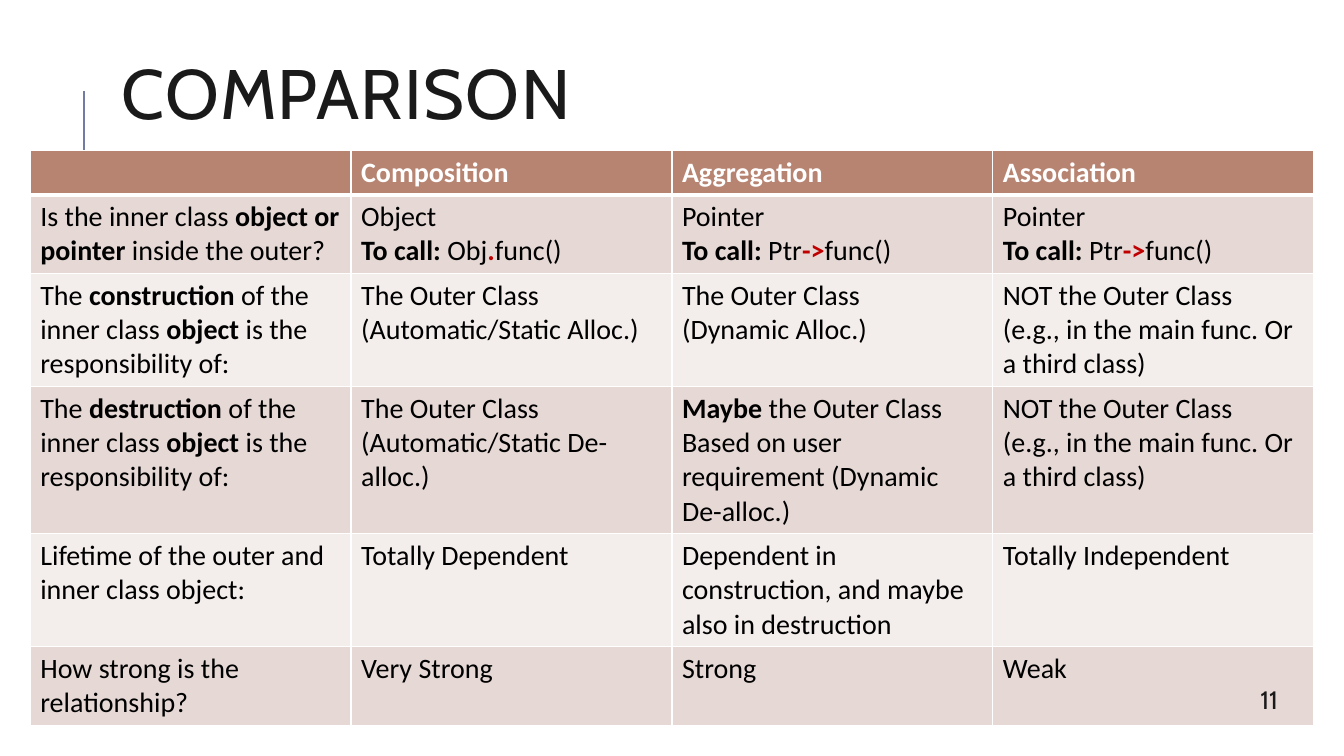
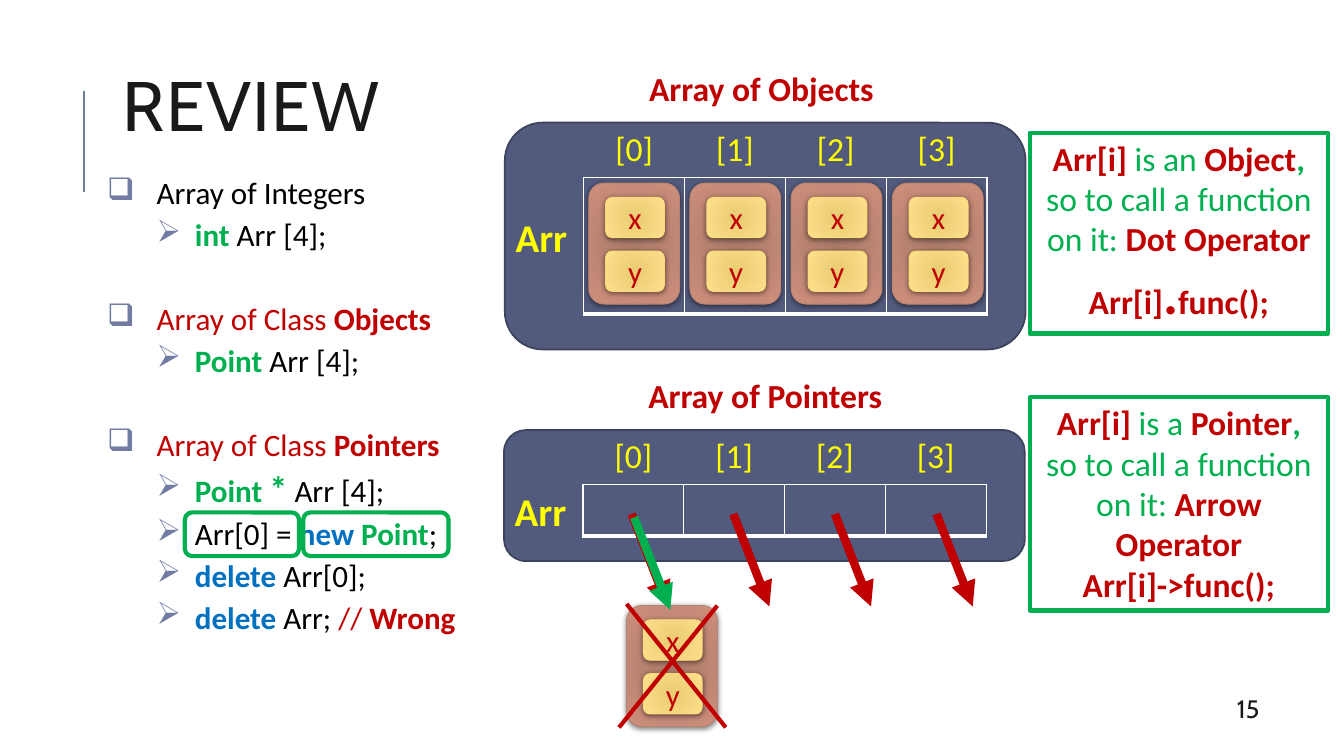
from lxml.etree import SubElement
from pptx import Presentation
from pptx.dml.color import RGBColor
from pptx.enum.shapes import MSO_CONNECTOR, MSO_SHAPE
from pptx.enum.text import MSO_ANCHOR, MSO_AUTO_SIZE, PP_ALIGN
from pptx.oxml.ns import qn
from pptx.util import Inches, Pt

HUES = {
    "white": "FFFFFF", "black": "000000", "ink": "1A1A1A", "rule": "727CA3",
    "head": "B88472", "dark": "E6D9D5", "pale": "F3EDEB", "red": "C00000",
    "green": "00B050", "blue": "0070C0", "yellow": "FFFF00",
    "panel": "525A7D", "edge": "3D435C", "clay": "AB7B6A", "rose": "CE8F7C",
    "gold": "E9CB72", "sand": "FFE08B", "rim": "FADA7A",
}
COLS, ROWS = 160, 90

HEADS = ["", "Composition", "Aggregation", "Association"]
TO_CALL = ("To call: ", "black", True)
ARROW = [["Pointer"], [TO_CALL, "Ptr", ("->", "red", True), "func()"]]
THIRD = [["NOT the Outer Class"], ["(e.g., in the main func. Or a third class)"]]


def duty(word):
    """Return the question about who is responsible for a step."""
    return [["The ", (word, "black", True), " of the inner class ",
             ("object", "black", True), " is the responsibility of:"]]


FACTS = [
    [[["Is the inner class ", ("object or pointer", "black", True), " inside the outer?"]],
     [["Object"], [TO_CALL, "Obj", (".", "red", True), "func()"]], ARROW, ARROW],
    [duty("construction"),
     [["The Outer Class"], ["(Automatic/Static Alloc.)"]],
     [["The Outer Class"], ["(Dynamic Alloc.)"]], THIRD],
    [duty("destruction"),
     [["The Outer Class"], ["(Automatic/Static De-alloc.)"]],
     [[("Maybe", "black", True), " the Outer Class"],
      ["Based on user requirement (Dynamic De-alloc.)"]], THIRD],
    [[["Lifetime of the outer and inner class object:"]], [["Totally Dependent"]],
     [["Dependent in construction, and maybe also in destruction"]],
     [["Totally Independent"]]],
    [[["How strong is the relationship?"]], [["Very Strong"]], [["Strong"]], [["Weak"]]],
]
POINTS = [
    (1, ["Array of Integers"]),
    (2, [("int", "green", True), " Arr [4];"]),
    (1, [("Array of Class ", "red"), ("Objects", "red", True)]),
    (2, [("Point ", "green", True), "Arr [4];"]),
    (1, [("Array of Class ", "red"), ("Pointers", "red", True)]),
    (2, [("Point ", "green", True), ("*", "green", True, 25.9), " Arr [4];"]),
    (2, ["Arr[0] = ", ("new ", "blue", True), ("Point", "green", True), ";"]),
    (2, [("delete", "blue", True), " Arr[0];"]),
    (2, [("delete", "blue", True), " Arr;", (" // ", "red"), ("Wrong", "red", True)]),
]


def unit(num):
    """Turn grid units into a length."""
    return Inches(num / 12)


def box(*nums):
    """Turn several grid numbers into lengths."""
    return [unit(num) for num in nums]


def tint(hue):
    """Return a named colour."""
    return RGBColor.from_string(HUES[hue])


def paint(part, hue):
    """Fill a shape or cell with one colour."""
    part.fill.solid()
    part.fill.fore_color.rgb = tint(hue)


def sub(node, tag, **keys):
    """Append a drawing element to a node."""
    return SubElement(node, qn("a:" + tag), {key: str(val) for key, val in keys.items()})


def style(run, size, hue, bold=False, font="Calibri"):
    """Format one run."""
    run.font.size, run.font.bold, run.font.name = Pt(size), bold, font
    run.font.color.rgb = tint(hue)


def write(par, runs, size, hue="black", bold=False):
    """Write runs, each plain text or text with hue, weight and size."""
    for item in runs:
        if item == "\n":
            par.add_line_break()
            continue
        text, *look = (item,) if isinstance(item, str) else item
        tone, heavy, high = look + [hue, bold, size][len(look):]
        run = par.add_run()
        run.text = text
        style(run, high, tone, heavy)


def label(slide, spot, text, size, hue, bold=False, font="Calibri"):
    """Add one line of text that does not wrap."""
    frame = slide.shapes.add_textbox(*box(*spot)).text_frame
    frame.word_wrap = False
    frame.text = text
    style(frame.paragraphs[0].runs[0], size, hue, bold, font)
    return frame


def stroke(slide, ends, hue, width, head=False):
    """Draw a line, with an arrowhead if asked."""
    line = slide.shapes.add_connector(MSO_CONNECTOR.STRAIGHT, *box(*ends))
    line.line.color.rgb, line.line.width = tint(hue), Pt(width)
    if head:
        sub(line.line._get_or_add_ln(), "tailEnd", type="triangle")
    sub(line._element.spPr, "effectLst")


def round_box(slide, spot, fill, edge, width):
    """Add a rounded box, hollow if it has no fill."""
    shape = slide.shapes.add_shape(MSO_SHAPE.ROUNDED_RECTANGLE, *box(*spot))
    shape.shadow.inherit = False
    shape.line.color.rgb, shape.line.width = tint(edge), Pt(width)
    if fill:
        paint(shape, fill)
    else:
        shape.fill.background()
    return shape


def glow(slide, spot, inner, outer, edge):
    """Add a rounded box with a radial blend and a soft shadow."""
    shape = round_box(slide, spot, None, edge, 0.75)
    props = shape._element.spPr
    blend = sub(props, "gradFill", rotWithShape=1)
    stops = sub(blend, "gsLst")
    for pos, hue in ((0, inner), (100000, outer)):
        sub(sub(stops, "gs", pos=pos), "srgbClr", val=HUES[hue])
    sub(sub(blend, "path", path="circle"), "fillToRect",
        l=100000, t=100000, r=100000, b=100000)
    props.replace(props.find(qn("a:noFill")), blend)
    cast = sub(props.find(qn("a:effectLst")), "outerShdw", blurRad=Pt(4),
               dist=Pt(1), dir=5400000, algn="ctr", rotWithShape=0)
    sub(sub(cast, "srgbClr", val=HUES["black"]), "alpha", val=50000)
    return shape


def grid(slide, left, top, width, rows):
    """Add a bare table of four equal columns."""
    frame = slide.shapes.add_table(len(rows), 4, *box(left, top, 4 * width, sum(rows)))
    table = frame.table
    table.first_row = table.horz_banding = False
    for row, high in zip(table.rows, rows):
        row.height = unit(high)
    for col in table.columns:
        col.width = unit(width)
    return table


def trim(cell, row, col, hue, foot):
    """Give a cell white borders and a fill."""
    sides = [("lnL", 1, col == 0), ("lnR", 1, True), ("lnT", 1, row == 0), ("lnB", foot, True)]
    for tag, width, shown in sides:
        if shown:
            line = sub(cell._tc.get_or_add_tcPr(), tag, w=Pt(width))
            sub(sub(line, "solidFill"), "srgbClr", val=HUES["white"])
    paint(cell, hue)


def base(deck, title, left, top):
    """Start a slide with its rule and title."""
    slide = deck.slides.add_slide(deck.slide_layouts[5])
    stroke(slide, (10, 22.8, 10, 10.8), "rule", 1.5)
    head = slide.shapes.title
    head.left, head.top, head.width, head.height = box(left, top, 139.3, 10.2)
    frame = head.text_frame
    frame.text = title
    frame.auto_size, frame.vertical_anchor = MSO_AUTO_SIZE.NONE, MSO_ANCHOR.MIDDLE
    par = frame.paragraphs[0]
    par.alignment, par.line_spacing = PP_ALIGN.LEFT, 0.8
    style(par.runs[0], 50, "ink", font="Cabin")
    par.runs[0].font._element.set("spc", "100")
    return slide


def folio(slide, num, left, top):
    """Add the page number."""
    frame = label(slide, (left, top, 17.8, 6.7), num, 18, "ink", font="Cabin")
    frame.word_wrap, frame.vertical_anchor = True, MSO_ANCHOR.MIDDLE
    frame.paragraphs[0].alignment = PP_ALIGN.CENTER


def matrix(slide, left, top):
    """Add the table that compares the three relations."""
    table = grid(slide, left, top, 38.2, [5.3, 8.6, 12.2, 16, 12.2, 8.6])
    lines = [[[[text]] if text else [] for text in HEADS]] + FACTS
    for row, cells in enumerate(lines):
        hue = "head" if row == 0 else ("pale", "dark")[row % 2]
        for col, pars in enumerate(cells):
            cell = table.cell(row, col)
            trim(cell, row, col, hue, 1 if row else 3)
            for num, runs in enumerate(pars):
                frame = cell.text_frame
                par = frame.add_paragraph() if num else frame.paragraphs[0]
                write(par, runs, 20, "black" if row else "white", row == 0)


def outline(slide, spot):
    """Add the bulleted list of array kinds."""
    frame = slide.shapes.add_textbox(*box(*spot)).text_frame
    frame.word_wrap = True
    frame.margin_left = frame.margin_right = frame.margin_top = frame.margin_bottom = Inches(0.05)
    for num, (level, runs) in enumerate(POINTS):
        par = frame.add_paragraph() if num else frame.paragraphs[0]
        par.line_spacing, par.space_after = 0.9, Pt(3.9)
        par.space_before = Pt(32 if num and level == 1 else 2)
        mark, left, hang = (("❑", 0.62, 0.49), ("➢", 1, 0.38))[level - 1]
        props = par._p.get_or_add_pPr()
        props.set("marL", str(Inches(left)))
        props.set("indent", str(-Inches(hang)))
        sub(sub(props, "buClr"), "srgbClr", val=HUES["rule"])
        sub(props, "buChar", char=mark)
        write(par, runs, 22.2)


def point(slide, left, top):
    """Draw one object with its x and y fields."""
    glow(slide, (left, top, 10.8, 14.4), "clay", "rose", "head")
    for num, name in enumerate("xy"):
        field = glow(slide, (left + 2, top + 1.7 + 6.4 * num, 7, 4.8), "gold", "sand", "rim")
        frame = field.text_frame
        frame.text = name
        frame.vertical_anchor = MSO_ANCHOR.MIDDLE
        frame.paragraphs[0].alignment = PP_ALIGN.CENTER
        style(frame.paragraphs[0].runs[0], 22, "red")


def array(slide, left, top, high, name, wide, slot, drop):
    """Draw an array panel with heading, name, slots and indices."""
    round_box(slide, (left, top, 62, high), "panel", "edge", 1.25)
    label(slide, (left + 16, top - 7.1, wide, 6), name, 24, "red", True)
    label(slide, (left + 0.1, top + drop, 8.8, 6.8), "Arr", 28, "yellow", True)
    table = grid(slide, left + 9.4, top + 6.5, 12, [slot])
    for num in range(4):
        trim(table.cell(0, num), 0, num, "panel", 3)
        spot = (left + 9.4 + 12 * num, top, 12, 6)
        frame = label(slide, spot, f"[{num}]", 24, "yellow")
        frame.paragraphs[0].alignment = PP_ALIGN.CENTER


def note(slide, spot, article, kind, means, call):
    """Add a framed note on how to call a function."""
    shape = slide.shapes.add_textbox(*box(*spot))
    shape.line.color.rgb, shape.line.width = tint("green"), Pt(3)
    frame = shape.text_frame
    frame.word_wrap = True
    rule = [("Arr[i] ", "red", True), f"is {article} ", (kind, "red", True),
            (",", "green", True), "\n", "so to call a function on it: ", (means, "red", True)]
    for par, runs in ((frame.paragraphs[0], rule), (frame.add_paragraph(), call)):
        par.alignment = PP_ALIGN.CENTER
        write(par, runs, 24, "green")


def compare(deck):
    """Build the comparison slide."""
    slide = base(deck, "COMPARISON", 13.3, 6.7)
    matrix(slide, 3.6, 17.9)
    folio(slide, "11", 142.2, 79.9)


def review(deck):
    """Build the review slide."""
    slide = base(deck, "REVIEW", 13.4, 8.2)
    outline(slide, (10.6, 20.6, 142, 57.5))
    folio(slide, "15", 139.7, 81)
    array(slide, 60.1, 14.6, 27, "Array of Objects", 30.5, 16.3, 10.2)
    for num in range(4):
        point(slide, 70.1 + 12.05 * num, 21.8)
    note(slide, (122.6, 15.8, 35.5, 23.9), "an", "Object", "Dot Operator",
         [("Arr[i]", "red", True), (".", "red", True, 40), ("func();", "red", True)])
    array(slide, 60, 51.2, 15.6, "Array of Pointers", 31.2, 6.1, 6.2)
    for num in range(4):
        left = 75.2 + 12.1 * num
        stroke(slide, (left, 61.2, left + 4.3, 72.2), "red", 6, True)
    point(slide, 74.6, 72.1)
    note(slide, (122.6, 47.3, 35.5, 25.4), "a", "Pointer", "Arrow Operator",
         [("Arr[i]->func();", "red", True)])
    for ends in ((85.4, 72.1, 73.7, 86.6), (74.6, 71.9, 86.4, 86.6)):
        stroke(slide, ends, "red", 3)
    for left, wide in ((36.1, 17.3), (22, 13.6)):
        round_box(slide, (left, 61, wide, 5.2), None, "green", 3)
    stroke(slide, (75.5, 61.6, 79.8, 72.6), "green", 6, True)


def main():
    """Build and save the deck."""
    deck = Presentation()
    deck.slide_width, deck.slide_height = box(COLS, ROWS)
    compare(deck)
    review(deck)
    deck.save("out.pptx")


if __name__ == "__main__":
    main()
